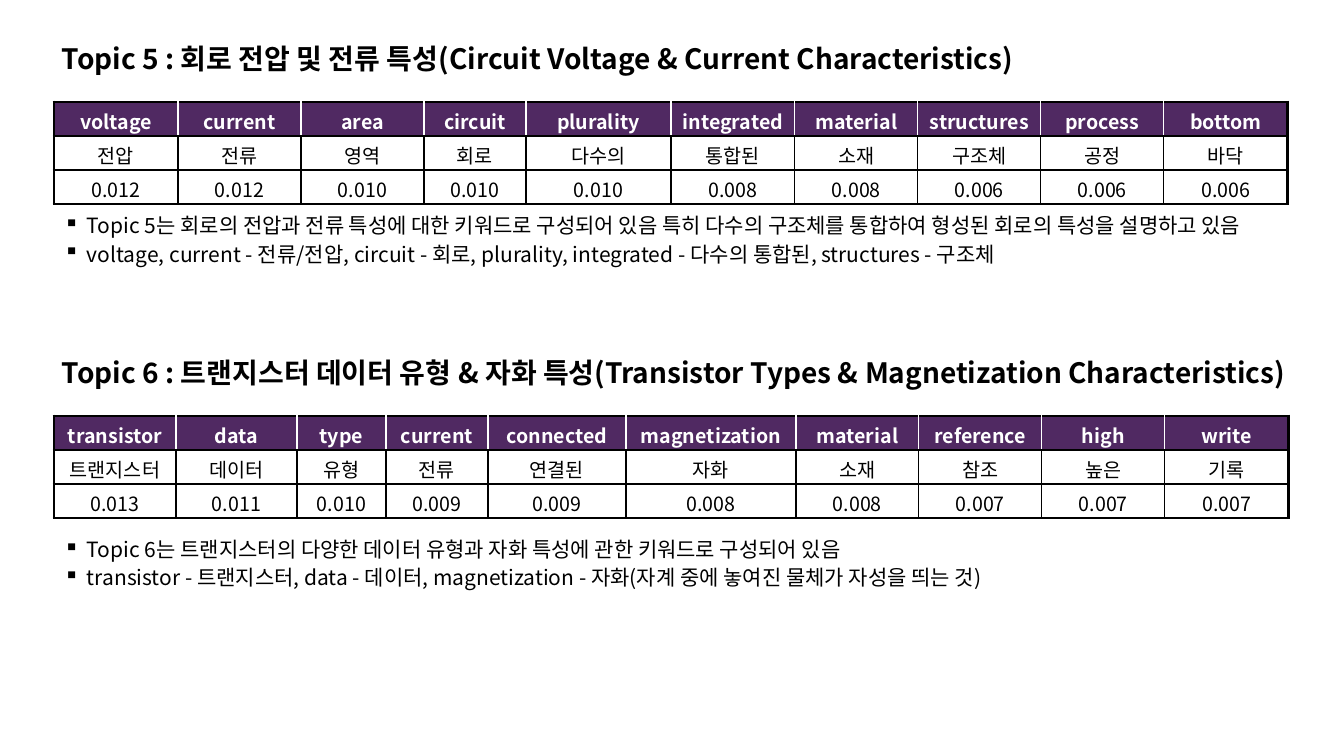
import pptx
import pptx.util
import pptx.dml.color
import pptx.enum.text
import pptx.oxml
import pptx.oxml.ns
import lxml.etree

FONT = "Noto Sans CJK KR"
BLACK, WHITE, PURPLE = "000000", "FFFFFF", "502962"
ROW = 34
qn = pptx.oxml.ns.qn


def px(n):
    return pptx.util.Emu(round(n * 914400 / 100.8))


def color(code):
    return pptx.dml.color.RGBColor.from_string(code)


deck = pptx.Presentation()
deck.slide_width, deck.slide_height = px(1344), px(756)
slide = deck.slides.add_slide(deck.slide_layouts[6])

topics = [
    dict(
        title="Topic 5 : 회로 전압 및 전류 특성(Circuit Voltage & Current Characteristics)",
        tops=(42, 102, 212),
        cols=[124, 123, 123, 102, 145, 124, 123, 123, 123, 124],
        rows=["voltage current area circuit plurality integrated material structures process bottom",
              "전압 전류 영역 회로 다수의 통합된 소재 구조체 공정 바닥",
              "0.012 0.012 0.010 0.010 0.010 0.008 0.008 0.006 0.006 0.006"],
        notes=["Topic 5는 회로의 전압과 전류 특성에 대한 키워드로 구성되어 있음 "
               "특히 다수의 구조체를 통합하여 형성된 회로의 특성을 설명하고 있음",
               "voltage, current - 전류/전압, circuit - 회로, "
               "plurality, integrated - 다수의 통합된, structures - 구조체"]),
    dict(
        title="Topic 6 : 트랜지스터 데이터 유형 & 자화 특성(Transistor Types & Magnetization Characteristics)",
        tops=(356, 416, 536),
        cols=[122, 121, 89, 102, 138, 170, 123, 123, 123, 124],
        rows=["transistor data type current connected magnetization material reference high write",
              "트랜지스터 데이터 유형 전류 연결된 자화 소재 참조 높은 기록",
              "0.013 0.011 0.010 0.009 0.009 0.008 0.008 0.007 0.007 0.007"],
        notes=["Topic 6는 트랜지스터의 다양한 데이터 유형과 자화 특성에 관한 키워드로 구성되어 있음",
               "transistor - 트랜지스터, data - 데이터, "
               "magnetization - 자화(자계 중에 놓여진 물체가 자성을 띄는 것)"]),
]

styled = []  # paragraph, size, colour, bold
for topic in topics:
    head_top, grid_top, note_top = topic["tops"]

    # Heading
    head = slide.shapes.add_textbox(px(52), px(head_top), px(1276), px(42)).text_frame
    head.word_wrap = False
    head.margin_top = 0
    head.text = topic["title"]
    styled.append((head.paragraphs[0], 20, BLACK, True))

    # Keyword table
    cols, rows = topic["cols"], topic["rows"]
    grid = slide.shapes.add_table(len(rows), len(cols), px(54), px(grid_top),
                                  px(sum(cols)), px(ROW * len(rows))).table
    grid.horz_banding = False
    for col, width in zip(grid.columns, cols):
        col.width = px(width)
    for r, line in enumerate(rows):
        grid.rows[r].height = px(ROW)
        for c, word in enumerate(line.split()):
            cell = grid.cell(r, c)
            cell.text = word
            cell.margin_left = cell.margin_right = cell.margin_top = px(5)
            cell.margin_bottom = 0
            para = cell.text_frame.paragraphs[0]
            para.alignment = pptx.enum.text.PP_ALIGN.CENTER
            styled.append((para, 14, BLACK if r else WHITE, r == 0))
            if r == 0:
                cell.fill.solid()
                cell.fill.fore_color.rgb = color(PURPLE)
            else:
                cell.fill.background()

            # Thick outer frame, thin inner lines, white between headers
            edges = [("lnL", c == 0), ("lnR", c == len(cols) - 1),
                     ("lnT", r == 0), ("lnB", r == len(rows) - 1)]
            props = cell._tc.get_or_add_tcPr()
            for i, (tag, outer) in enumerate(edges):
                edge = lxml.etree.Element(qn("a:" + tag))
                edge.set("w", str(pptx.util.Pt(2.25 if outer else 1)))
                fill = lxml.etree.SubElement(edge, qn("a:solidFill"))
                pale = r == 0 and tag in ("lnL", "lnR") and not outer
                lxml.etree.SubElement(fill, qn("a:srgbClr")).set("val", WHITE if pale else BLACK)
                props.insert(i, edge)

    # Bulleted notes
    note = slide.shapes.add_textbox(px(54), px(note_top), px(1235), px(69)).text_frame
    note.word_wrap = True
    note.margin_top = px(1)
    note.text = "\n".join(topic["notes"])
    for i, para in enumerate(note.paragraphs):
        para.space_before = pptx.util.Pt(2 if i else 0)
        props = para._p.get_or_add_pPr()
        props.set("marL", str(px(23)))
        props.set("indent", str(px(-23)))
        lxml.etree.SubElement(props, qn("a:buChar")).set("char", "▪")
        styled.append((para, 15, BLACK, False))

# Fonts, for Latin and Korean alike
for para, size, code, bold in styled:
    font = para.font
    font.name, font.size, font.bold = FONT, pptx.util.Pt(size), bold
    font.color.rgb = color(code)
    latin = para._p.pPr.find(".//" + qn("a:latin"))
    asian = lxml.etree.Element(qn("a:ea"))
    asian.set("typeface", FONT)
    latin.addnext(asian)

deck.save("out.pptx")
